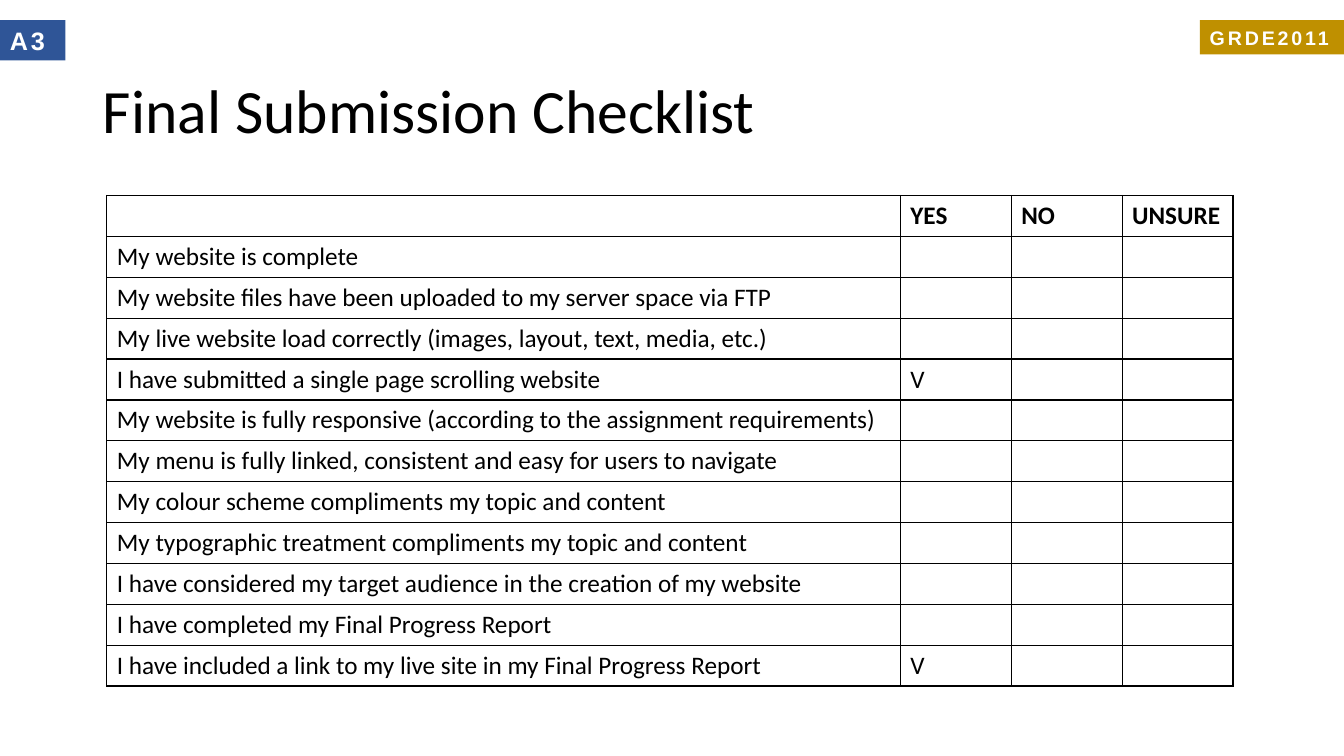
"""Build the final submission checklist slide."""
from lxml import etree
from pptx import Presentation
from pptx.dml.color import RGBColor
from pptx.enum.shapes import MSO_SHAPE
from pptx.enum.text import MSO_ANCHOR, MSO_AUTO_SIZE, PP_ALIGN
from pptx.oxml.ns import qn
from pptx.util import Inches, Pt

RECTANGLE = MSO_SHAPE.RECTANGLE
MIDDLE = MSO_ANCHOR.MIDDLE
GROW = MSO_AUTO_SIZE.SHAPE_TO_FIT_TEXT
LEFT = PP_ALIGN.LEFT

COLOURS = {"ink": "000000", "paper": "FFFFFF", "blue": "2F5597", "gold": "BF9000"}
WIDTH, HEIGHT = 13.33, 7.5
TITLE = "Final Submission Checklist"
ANSWERS = ["YES", "NO", "UNSURE"]
CHECKLIST = [
    ("My website is complete", ""),
    ("My website files have been uploaded to my server space via FTP", ""),
    ("My live website load correctly (images, layout, text, media, etc.)", ""),
    ("I have submitted a single page scrolling website", "YES"),
    ("My website is fully responsive (according to the assignment requirements)", ""),
    ("My menu is fully linked, consistent and easy for users to navigate", ""),
    ("My colour scheme compliments my topic and content", ""),
    ("My typographic treatment compliments my topic and content", ""),
    ("I have considered my target audience in the creation of my website", ""),
    ("I have completed my Final Progress Report", ""),
    ("I have included a link to my live site in my Final Progress Report ", "YES"),
]
BADGE_TOP = 0.2
BADGES = [
    ("A3", 0, 0.65, 0.4, 18, "blue"),
    ("GRDE2011", WIDTH - 1.43, 1.43, 0.34, 14, "gold"),
]
TABLE_LEFT, TABLE_TOP, TABLE_HEIGHT = 1.06, 1.94, 4.87
STATEMENT_WIDTH, ANSWER_WIDTH = 7.87, 1.1


def colour(name):
    return RGBColor.from_string(COLOURS[name])


def set_font(font, face, size, ink, bold):
    font.name, font.size, font.bold = face, Pt(size), bold
    font.color.rgb = colour(ink)


def add_badge(slide, label, left, width, height, size, fill):
    badge = slide.shapes.add_shape(
        RECTANGLE, Inches(left), Inches(BADGE_TOP), Inches(width), Inches(height))
    badge.shadow.inherit = False
    badge.fill.solid()
    badge.fill.fore_color.rgb = colour(fill)
    badge.line.fill.background()
    frame = badge.text_frame
    frame.word_wrap = False
    frame.auto_size = GROW
    paragraph = frame.paragraphs[0]
    paragraph.alignment = LEFT
    letters = paragraph.add_run()
    letters.text = label
    set_font(letters.font, "Arial", size, "paper", True)
    letters.font._element.set("spc", "200")


def add_borders(cell):
    properties = cell._tc.get_or_add_tcPr()
    for position, side in enumerate(("a:lnL", "a:lnR", "a:lnT", "a:lnB")):
        border = etree.Element(qn(side), w=str(Pt(1)))
        fill = etree.SubElement(border, qn("a:solidFill"))
        etree.SubElement(fill, qn("a:srgbClr"), val=COLOURS["ink"])
        properties.insert(position, border)


def add_checklist(slide):
    rows = [["", *ANSWERS]] + [
        [statement, *("V" if answer == ticked else "" for answer in ANSWERS)]
        for statement, ticked in CHECKLIST]
    widths = [STATEMENT_WIDTH] + [ANSWER_WIDTH] * len(ANSWERS)
    table = slide.shapes.add_table(
        len(rows), len(widths), Inches(TABLE_LEFT), Inches(TABLE_TOP),
        Inches(sum(widths)), Inches(TABLE_HEIGHT)).table
    table.first_row = table.horz_banding = False
    for column, width in zip(table.columns, widths):
        column.width = Inches(width)
    for row_number, row in enumerate(rows):
        for column_number, entry in enumerate(row):
            cell = table.cell(row_number, column_number)
            cell.text = entry
            cell.fill.solid()
            cell.fill.fore_color.rgb = colour("paper")
            set_font(cell.text_frame.paragraphs[0].font, "Calibri", 18, "ink",
                     row_number == 0)
            add_borders(cell)


presentation = Presentation()
presentation.slide_width, presentation.slide_height = Inches(WIDTH), Inches(HEIGHT)
slide = presentation.slides.add_slide(presentation.slide_layouts[5])

title = slide.shapes.title
title.left, title.top = Inches(0.92), Inches(0.4)
title.width, title.height = Inches(11.5), Inches(1.45)
title.text = TITLE
title.text_frame.vertical_anchor = MIDDLE
heading = title.text_frame.paragraphs[0]
heading.alignment = LEFT
heading.line_spacing = 0.9
set_font(heading.font, "Calibri", 44, "ink", False)

add_checklist(slide)
for badge in BADGES:
    add_badge(slide, *badge)

presentation.save("out.pptx")
